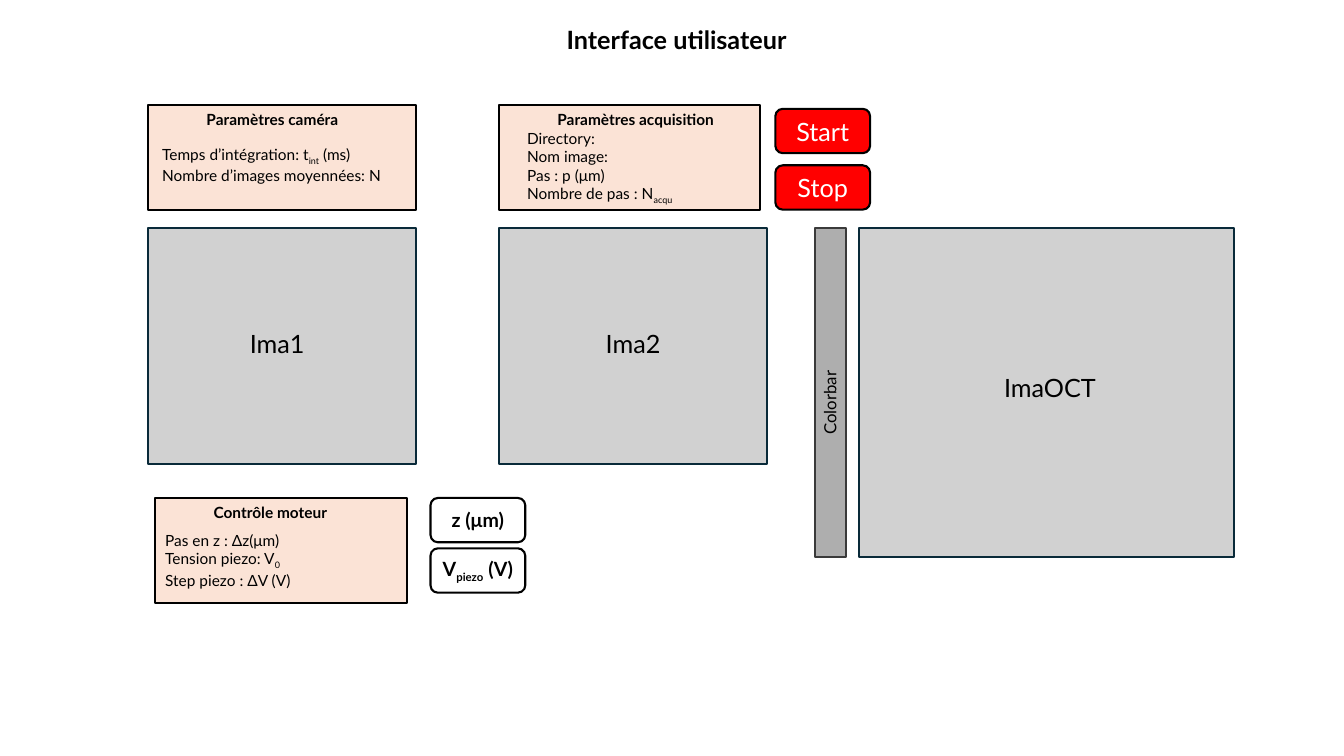
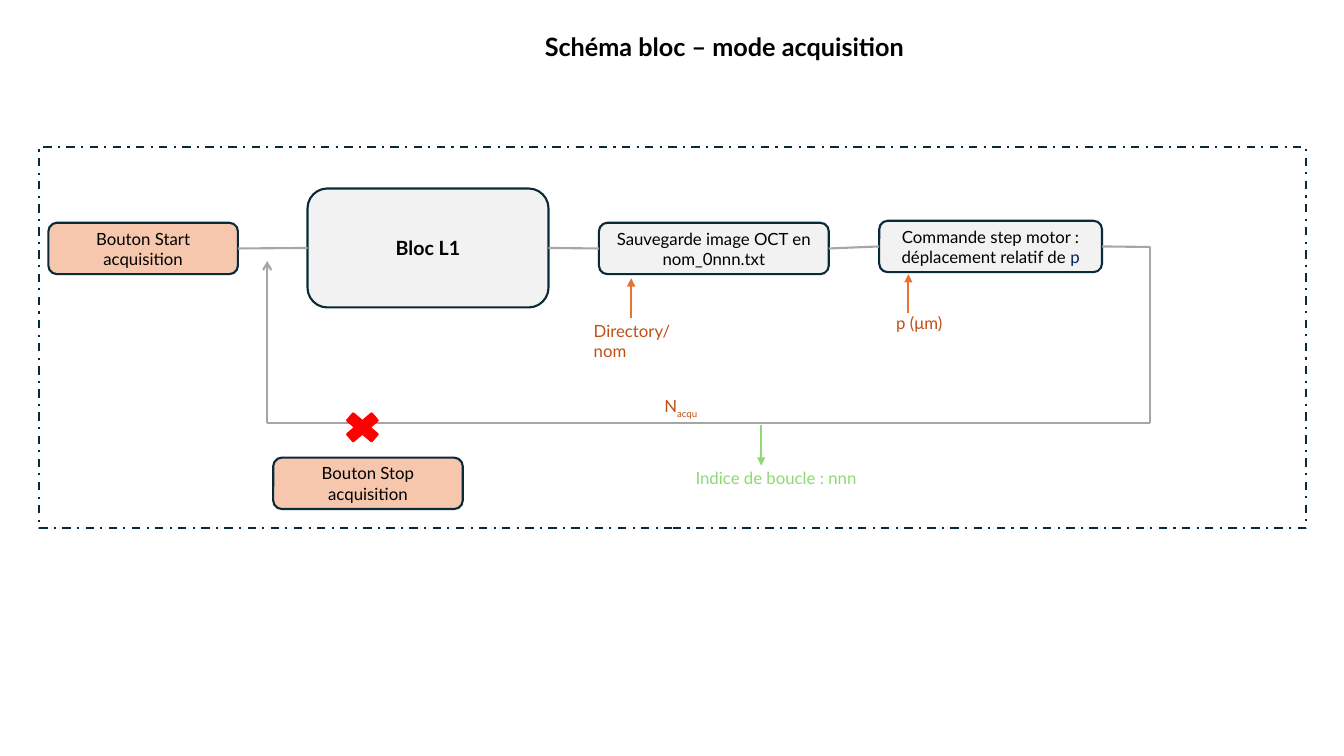
from dataclasses import dataclass
from itertools import pairwise

from lxml import etree
from pptx import Presentation
from pptx.dml.color import RGBColor
from pptx.enum.dml import MSO_LINE
from pptx.enum.shapes import MSO_CONNECTOR, MSO_SHAPE
from pptx.enum.text import MSO_ANCHOR, MSO_AUTO_SIZE, PP_ALIGN
from pptx.oxml.ns import qn
from pptx.util import Pt

PX = 9144  # 100 px to the inch
RECT, ROUND = MSO_SHAPE.RECTANGLE, MSO_SHAPE.ROUNDED_RECTANGLE
CROSS = MSO_SHAPE.MATH_MULTIPLY
STRAIGHT, DASHDOT = MSO_CONNECTOR.STRAIGHT, MSO_LINE.DASH_DOT
LEFT, CENTER = PP_ALIGN.LEFT, PP_ALIGN.CENTER
TOP, MIDDLE = MSO_ANCHOR.TOP, MSO_ANCHOR.MIDDLE
RIGHT_SIDE, LEFT_SIDE = 3, 1


@dataclass(frozen=True)
class Theme:
    font: str = "Lato"
    black: str = "000000"
    white: str = "FFFFFF"
    navy: str = "092A39"
    blue: str = "002060"
    red: str = "FF0000"
    image: str = "D1D1D1"
    bar: str = "AEAEAE"
    bar_edge: str = "3A3A3A"
    peach: str = "FBE3D6"
    button: str = "F6C6AD"
    block: str = "F2F2F2"
    wire: str = "A6A6A6"
    orange: str = "E97132"
    rust: str = "C04F15"
    green: str = "8ED973"
    line: float = 1.5
    large: int = 18
    mid: int = 14
    small: int = 12
    tiny: int = 11


T = Theme()
SUB = {"sub": True}

# Slide 1: boxes are left, top, width, height
UI_TITLE = ("Interface utilisateur", (479, 19, 384, 40))
IMAGES = [
    ("Ima1", (147, 226, 266, 234), (238, 321, 117, 40)),
    ("Ima2", (495, 226, 266, 234), (591, 321, 117, 40)),
    ("ImaOCT", (852, 226, 372, 327), (986, 364, 163, 40)),
]
COLORBAR = ("Colorbar", (808, 226, 31, 327), (774, 377, 98, 30))
PANELS = [
    ("Paramètres caméra", (147, 104, 266, 104), (151, 139, 252, 47), [
        ["Temps d’intégration: t", ("int", SUB), " (ms)"],
        ["Nombre d’images moyennées: N"],
    ]),
    ("Paramètres acquisition", (495, 104, 259, 104), (513, 123, 234, 84), [
        ["Directory:"],
        ["Nom image:"],
        ["Pas : p (μm)"],
        ["Nombre de pas : N", ("acqu", SUB)],
    ]),
    ("Contrôle moteur", (154, 494, 250, 104), (154, 522, 234, 66), [
        ["Pas en z : Δz(μm)"],
        ["Tension piezo: V", ("0", SUB)],
        ["Step piezo : ΔV (V)"],
    ]),
]
HEAD_DX, HEAD_W, HEAD_H = 48, 200, 29
BUTTON_W, BUTTON_H = 94, 44
COMMANDS = [("Start", (769, 108)), ("Stop", (769, 164))]
READOUTS = [
    (["z (μm)"], (427, 494)),
    (["V", ("piezo", SUB), " (V)"], (427, 544)),
]

# Slide 2
FLOW_TITLE = ("Schéma bloc – mode acquisition", (490, 26, 457, 40))
FRAME = (39, 146, 1256, 378)
BLOCKS = [
    (["Bouton Start acquisition"], (48, 221, 188, 51), T.button, {}),
    (["Bloc L1"], (305, 187, 239, 118), T.block, {"size": T.mid, "bold": True}),
    (["Sauvegarde image OCT en nom_0nnn.txt"], (594, 221, 228, 51), T.block, {}),
    (["Commande step motor : déplacement relatif de ", ("p", {"color": T.blue})],
     (872, 219, 221, 51), T.block, {}),
]
STOP = (["Bouton Stop acquisition"], (271, 454, 188, 51), T.button)
STOP_MARK = (336, 404, 47, 40)
LOOP = [(1093, 245), (1141, 245), (1141, 420), (265, 420), (265, 259)]
ARROWS = [
    ((901, 311), (901, 272), T.orange),
    ((626, 315), (626, 276), T.orange),
    ((755, 422), (755, 462), T.green),
]
LABELS = [
    (["p (μm)"], (879, 305, 87, 30), T.rust),
    (["Directory/nom"], (579, 313, 126, 30), T.rust),
    (["N", ("acqu", SUB)], (649, 388, 77, 30), T.rust),
    (["Indice de boucle : nnn"], (680, 459, 181, 30), T.green),
]


def emu(nums):
    return [n * PX for n in nums]


def write(shape, paras, size=T.small, color=T.black, bold=False,
          align=LEFT, anchor=TOP, inset=10):
    """Fill a shape with paragraphs; a run is a string or (string, changes)."""
    frame = shape.text_frame
    frame.word_wrap = True
    frame.auto_size = MSO_AUTO_SIZE.NONE
    frame.vertical_anchor = anchor
    frame.margin_left = frame.margin_right = inset * PX
    frame.margin_top = frame.margin_bottom = 5 * PX
    for i, runs in enumerate(paras):
        para = frame.add_paragraph() if i else frame.paragraphs[0]
        para.alignment = align
        for item in runs:
            words, diff = (item, {}) if isinstance(item, str) else item
            run = para.add_run()
            run.text = words
            font = run.font
            font.name, font.size, font.bold = T.font, Pt(size), bold
            font.color.rgb = RGBColor.from_string(diff.get("color", color))
            if diff.get("sub"):
                run._r.get_or_add_rPr().set("baseline", "-25000")
    return shape


def label(slide, paras, box, **form):
    return write(slide.shapes.add_textbox(*emu(box)), paras, **form)


def stroke(line, color):
    line.color.rgb = RGBColor.from_string(color)
    line.width = Pt(T.line)


def block(slide, kind, box, fill=None, edge=T.navy):
    shape = slide.shapes.add_shape(kind, *emu(box))
    shape.shadow.inherit = False
    if fill:
        shape.fill.solid()
        shape.fill.fore_color.rgb = RGBColor.from_string(fill)
    else:
        shape.fill.background()
    stroke(shape.line, edge)
    return shape


def wire(slide, start, end, color=T.wire, tip=None):
    line = slide.shapes.add_connector(STRAIGHT, *emu(start + end))
    stroke(line.line, color)
    props = line._element.spPr
    if tip:
        etree.SubElement(props.find(qn("a:ln")), qn("a:tailEnd"), type=tip)
    etree.SubElement(props, qn("a:effectLst"))
    return line


def add_slide(deck, title, box):
    slide = deck.slides.add_slide(deck.slide_layouts[5])
    head = slide.shapes.title
    head.left, head.top, head.width, head.height = emu(box)
    write(head, [[title]], size=T.large, bold=True, align=CENTER)
    return slide


def build_ui(deck):
    slide = add_slide(deck, *UI_TITLE)
    for name, box, spot in IMAGES:
        block(slide, RECT, box, T.image)
        label(slide, [[name]], spot, size=T.large)
    name, box, spot = COLORBAR
    block(slide, RECT, box, T.bar, T.bar_edge)
    label(slide, [[name]], spot).rotation = 270
    for name, box, spot, paras in PANELS:
        block(slide, RECT, box, T.peach, T.black)
        head = (box[0] + HEAD_DX, box[1], HEAD_W, HEAD_H)
        label(slide, [[name]], head, size=T.tiny, bold=True)
        label(slide, paras, spot, size=T.tiny)
    for name, spot in COMMANDS:
        key = block(slide, ROUND, spot + (BUTTON_W, BUTTON_H), T.red, T.black)
        write(key, [[name]], size=T.large, color=T.white, align=CENTER, anchor=MIDDLE)
    for runs, spot in READOUTS:
        key = block(slide, ROUND, spot + (BUTTON_W, BUTTON_H), edge=T.black)
        write(key, [runs], size=T.mid, bold=True, align=CENTER, anchor=MIDDLE, inset=2)


def build_flow(deck):
    slide = add_slide(deck, *FLOW_TITLE)
    block(slide, RECT, FRAME).line.dash_style = DASHDOT
    steps = []
    for runs, box, fill, form in BLOCKS:
        step = block(slide, ROUND, box, fill)
        steps.append(write(step, [runs], align=CENTER, anchor=MIDDLE, **form))
    for left, right in pairwise(steps):
        line = wire(slide, (0, 0), (0, 0))
        line.begin_connect(left, RIGHT_SIDE)
        line.end_connect(right, LEFT_SIDE)
    loop = list(pairwise(LOOP))
    for start, end in loop:
        line = wire(slide, start, end, tip="arrow" if end == LOOP[-1] else None)
        if start == LOOP[0]:
            line.begin_connect(steps[-1], RIGHT_SIDE)
    for start, end, color in ARROWS:
        wire(slide, start, end, color, "triangle")
    for runs, box, color in LABELS:
        label(slide, [runs], box, color=color)
    runs, box, fill = STOP
    write(block(slide, ROUND, box, fill), [runs], align=CENTER, anchor=MIDDLE)
    block(slide, CROSS, STOP_MARK, T.red, T.red)


def main():
    deck = Presentation()
    deck.slide_width, deck.slide_height = emu((1333, 750))
    build_ui(deck)
    build_flow(deck)
    deck.save("out.pptx")


if __name__ == "__main__":
    main()
